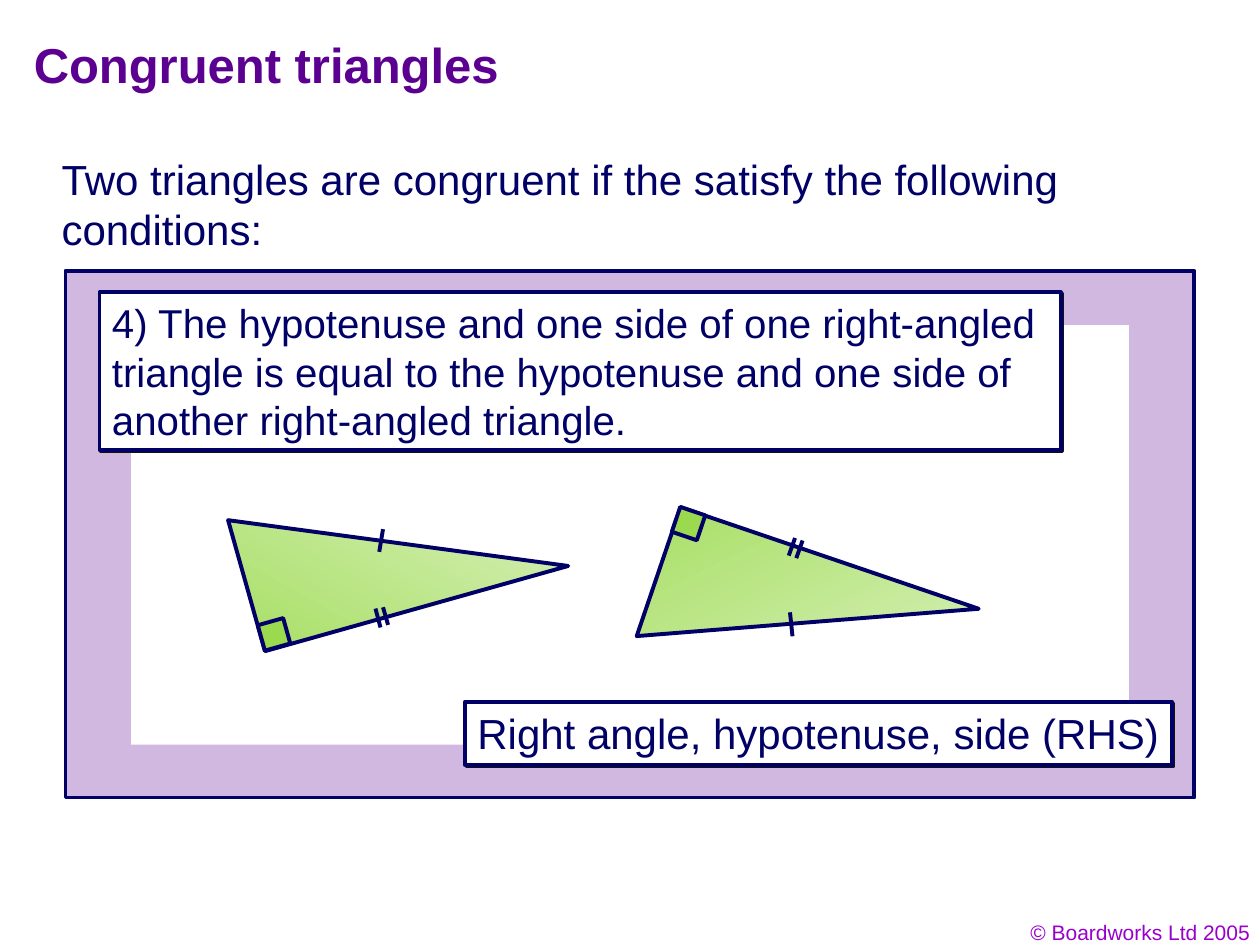
from dataclasses import dataclass

import pptx
import pptx.dml.color
import pptx.enum.shapes
import pptx.enum.text
import pptx.oxml
import pptx.util
from pptx.util import Inches

NAVY, INK = "000066", "010066"
WHITE, LILAC = "FFFFFF", "D0B8E0"
PURPLE, VIOLET = "5B0091", "9900CC"
PALE_GREEN, GREEN, CORNER_GREEN = "E0F3C9", "A8DF65", "9BDA4E"
CORNER_SIZE = 0.21
SHAPE = pptx.enum.shapes.MSO_SHAPE
ALIGN = pptx.enum.text.PP_ALIGN
ANCHOR = pptx.enum.text.MSO_ANCHOR
NS = 'xmlns:a="http://schemas.openxmlformats.org/drawingml/2006/main"'


@dataclass
class Triangle:
    left: float
    top: float
    rotation: float
    flipped: bool
    corner: tuple[float, float]
    ticks: list[tuple[float, float, float, float]]


TRIANGLES = [
    Triangle(1.91, 3.77, 344.3, False, (2.07, 4.93),
             [(3.04, 4.2, 3.01, 4.38), (2.98, 4.83, 3.02, 4.98),
              (3.04, 4.82, 3.08, 4.96)]),
    Triangle(5.16, 4.4, 198.8, True, (5.36, 4.05),
             [(6.29, 5.05, 6.27, 4.86), (6.26, 4.41, 6.31, 4.27),
              (6.32, 4.43, 6.37, 4.29)]),
]


def rgb(color: str):
    return pptx.dml.color.RGBColor.from_string(color)


def set_line(line) -> None:
    line.color.rgb = rgb(NAVY)
    line.width = pptx.util.Pt(2.25)


def add_shape(shapes, kind, left: float, top: float, width: float, height: float,
              fill: str | None = None, outlined: bool = True):
    sp = shapes.add_shape(kind, Inches(left), Inches(top), Inches(width), Inches(height))
    sp.shadow.inherit = False
    if fill:
        sp.fill.solid()
        sp.fill.fore_color.rgb = rgb(fill)
    if outlined:
        set_line(sp.line)
    else:
        sp.line.fill.background()
    return sp


def add_drop_shadow(sp) -> None:
    effects = sp._element.spPr.find(pptx.oxml.ns.qn("a:effectLst"))
    effects.append(pptx.oxml.parse_xml(
        f'<a:outerShdw {NS} dist="17780" dir="2700000" algn="ctr" rotWithShape="0">'
        '<a:srgbClr val="111111"/></a:outerShdw>'))


def write(sp, text: str, *, size: float, color: str = INK, bold: bool = False,
          align=ALIGN.LEFT, anchor=ANCHOR.TOP, wrap: bool = True) -> None:
    tf = sp.text_frame
    tf.word_wrap = wrap
    tf.vertical_anchor = anchor
    p = tf.paragraphs[0]
    p.alignment = align
    r = p.add_run()
    r.text = text
    r.font.name = "Arial"
    r.font.size = pptx.util.Pt(size)
    r.font.bold = bold
    r.font.color.rgb = rgb(color)


def add_text(s, left: float, top: float, width: float, height: float,
             text: str, **style) -> None:
    sp = s.shapes.add_textbox(Inches(left), Inches(top), Inches(width), Inches(height))
    write(sp, text, **style)


def add_label(s, left: float, top: float, width: float, height: float,
              text: str, **style) -> None:
    sp = add_shape(s.shapes, SHAPE.RECTANGLE, left, top, width, height, WHITE)
    add_drop_shadow(sp)
    write(sp, text, **style)


def add_tick(shapes, x1: float, y1: float, x2: float, y2: float) -> None:
    tick = shapes.add_connector(pptx.enum.shapes.MSO_CONNECTOR.STRAIGHT,
                                Inches(x1), Inches(y1), Inches(x2), Inches(y2))
    set_line(tick.line)
    tick._element.spPr.append(pptx.oxml.parse_xml(f"<a:effectLst {NS}/>"))


def add_triangle(s, t: Triangle) -> None:
    """Group a right-angled triangle with its corner mark and side ticks."""
    shapes = s.shapes.add_group_shape().shapes
    body = add_shape(shapes, SHAPE.RIGHT_TRIANGLE, t.left, t.top, 2.5, 1.08)
    body.fill.gradient()
    body.fill.gradient_angle = 225
    for stop, color in zip(body.fill.gradient_stops, (PALE_GREEN, GREEN)):
        stop.color.rgb = rgb(color)
    corner = add_shape(shapes, SHAPE.RECTANGLE, *t.corner, CORNER_SIZE, CORNER_SIZE,
                       CORNER_GREEN)
    for sp in (body, corner):
        sp.rotation = t.rotation
        if t.flipped:
            sp._element.spPr.xfrm.set("flipH", "1")
    for tick in t.ticks:
        add_tick(shapes, *tick)


def main() -> None:
    prs = pptx.Presentation()
    prs.slide_width, prs.slide_height = Inches(10), Inches(7.5)
    s = prs.slides.add_slide(prs.slide_layouts[6])

    add_text(s, 7.69, 7.25, 2.33, 0.3, "© Boardworks Ltd 2005",
             size=12, color=VIOLET, align=ALIGN.RIGHT)
    add_shape(s.shapes, SHAPE.RECTANGLE, 0.52, 2.15, 8.96, 4.18, LILAC)
    add_shape(s.shapes, SHAPE.RECTANGLE, 1.04, 2.58, 7.92, 3.33, WHITE, outlined=False)
    add_text(s, 0.17, 0.17, 8.5, 0.67, "Congruent triangles",
             size=28, color=PURPLE, bold=True, anchor=ANCHOR.MIDDLE)
    add_text(s, 0.39, 1.17, 9.16, 0.9,
             "Two triangles are congruent if the satisfy the following conditions:",
             size=24)
    add_label(s, 0.79, 2.32, 7.63, 1.25,
              "4) The hypotenuse and one side of one right-angled triangle is equal to "
              "the hypotenuse and one side of another right-angled triangle.", size=23)
    add_label(s, 3.69, 5.57, 5.61, 0.5, "Right angle, hypotenuse, side (RHS)",
              size=24, wrap=False)
    for triangle in TRIANGLES:
        add_triangle(s, triangle)
    prs.save("out.pptx")


if __name__ == "__main__":
    main()
